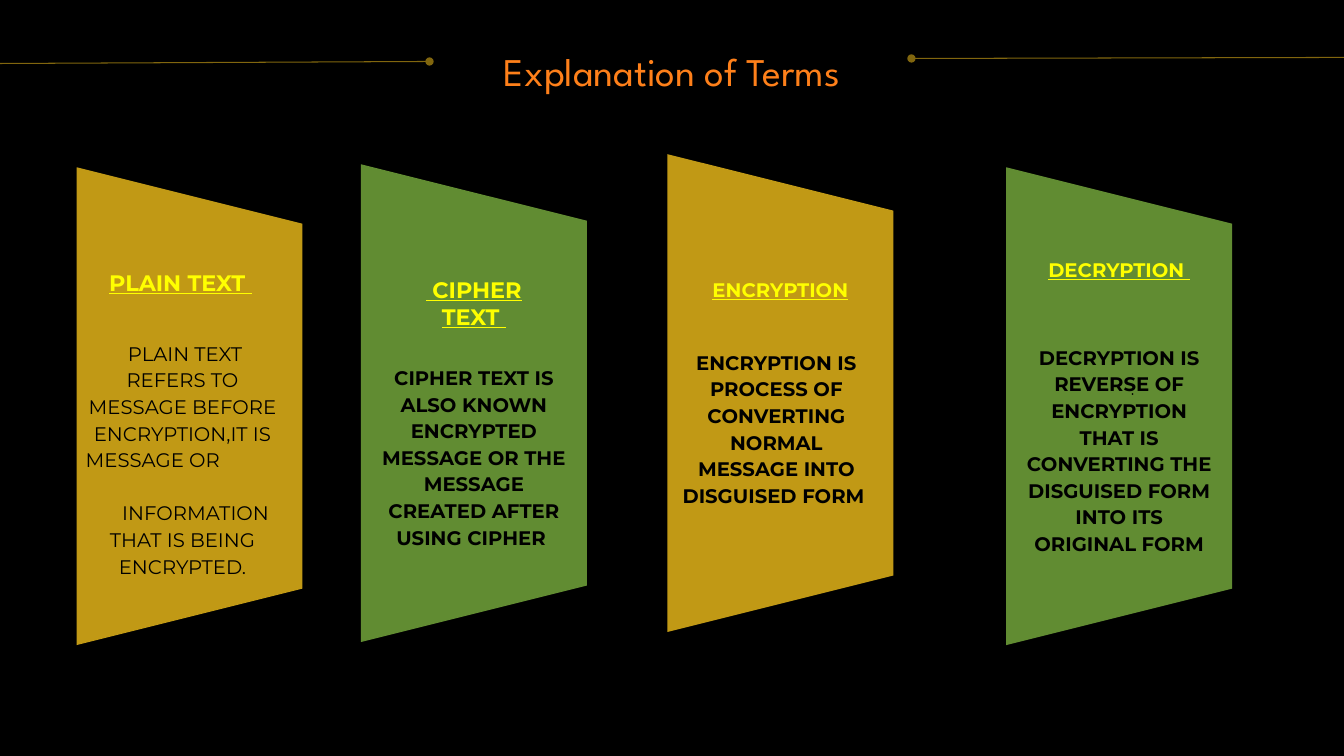
from pptx import Presentation, util as u
from pptx.dml.color import RGBColor
from pptx.enum import shapes, text
from pptx.oxml.ns import qn
from lxml import etree

W, H = 13.33, 7.5
PANEL_W, PANEL_H = 2.24, 4.74
HEAD_W, BODY_W = 1.5, 1.92
COLORS = {"black": "000000", "gold": "C19915", "green": "618C32",
          "line": "81660E", "title": "FE801A", "yellow": "FFFF00"}
CENTER, LEFT = text.PP_ALIGN.CENTER, text.PP_ALIGN.LEFT


def rgb(name):
    return RGBColor.from_string(COLORS[name])


def inches(*values):
    return [u.Inches(v) for v in values]


def write(sp, lines, size, color, font="Montserrat", bold=False,
          underline=False, spacing=None, anchor=text.MSO_ANCHOR.TOP):
    """Fill a shape; a line is a string or (string, align, indent, space before)."""
    tf = sp.text_frame
    tf.word_wrap = True
    tf.auto_size = text.MSO_AUTO_SIZE.NONE
    tf.vertical_anchor = anchor
    tf.margin_left = tf.margin_right = tf.margin_top = tf.margin_bottom = 0
    for i, line in enumerate(lines):
        words, align, indent, before = (
            (line, CENTER, 0, 0) if isinstance(line, str) else line)
        p = tf.paragraphs[0] if i == 0 else tf.add_paragraph()
        p.alignment = align
        p.line_spacing = spacing
        if indent:
            p._p.get_or_add_pPr().set("marL", str(u.Inches(indent)))
        if before:
            p.space_before = u.Pt(before)
        r = p.add_run()
        r.text = words
        r.font.name, r.font.size = font, u.Pt(size)
        r.font.bold, r.font.underline = bold, underline
        r.font.color.rgb = rgb(color)


def add_text(s, left, top, width, height, lines, **fmt):
    write(s.shapes.add_textbox(*inches(left, top, width, height)), lines, **fmt)


def add_panel(s, left, top, color):
    # The trapezoid is turned a quarter, so its box is laid out lengthwise
    shift = (PANEL_H - PANEL_W) / 2
    sp = s.shapes.add_shape(
        shapes.MSO_SHAPE.TRAPEZOID,
        *inches(left - shift, top + shift, PANEL_H, PANEL_W))
    sp.rotation = 90
    sp.shadow.inherit = False
    sp.fill.solid()
    sp.fill.fore_color.rgb = rgb(color)
    sp.line.fill.background()


def add_rule(s, x1, y1, x2, y2, dot):
    cx = s.shapes.add_connector(shapes.MSO_CONNECTOR.STRAIGHT,
                                *inches(x1, y1, x2, y2))
    cx.line.color.rgb = rgb("line")
    cx.line.width = u.Pt(0.75)
    ln = cx.line._get_or_add_ln()
    etree.SubElement(ln, qn("a:" + dot), type="oval")
    etree.SubElement(cx._element.spPr, qn("a:effectLst"))


# Panel left, top, colour; heading left, top, size, lines; body left, top, bold, lines
TERMS = [
    ((0.76, 1.66, "gold"),
     (1.04, 2.67, 16, ["PLAIN TEXT "]),
     (0.85, 3.36, False,
      [" PLAIN TEXT REFERS TO MESSAGE BEFORE ENCRYPTION,IT IS",
       ("MESSAGE OR", LEFT, 0, 0),
       ("INFORMATION", CENTER, 0.26, 19),
       "THAT IS BEING ENCRYPTED."])),
    ((3.58, 1.63, "green"),
     (3.95, 2.74, 16, [" CIPHER", "TEXT "]),
     (3.74, 3.6, True,
      ["CIPHER TEXT IS ALSO KNOWN ENCRYPTED MESSAGE OR THE MESSAGE "
       "CREATED AFTER USING CIPHER "])),
    ((6.62, 1.53, "gold"),
     (6.99, 2.76, 14, ["ENCRYPTION"]),
     (6.74, 3.45, True,
      ["ENCRYPTION IS PROCESS OF CONVERTING NORMAL MESSAGE INTO "
       "DISGUISED FORM "])),
    ((9.98, 1.66, "green"),
     (10.35, 2.56, 14, ["DECRYPTION "]),
     (10.14, 3.4, True,
      ["DECRYPTION IS REVERSE OF ENCRYPTION THAT IS CONVERTING THE "
       "DISGUISED FORM INTO ITS ORIGINAL FORM"])),
]


def main():
    prs = Presentation()
    prs.slide_width, prs.slide_height = inches(W, H)
    s = prs.slides.add_slide(prs.slide_layouts[5])
    s.background.fill.solid()
    s.background.fill.fore_color.rgb = rgb("black")

    # Title between two dotted rules
    add_rule(s, 9.04, 0.58, W, 0.57, "headEnd")
    add_rule(s, 0, 0.63, 4.26, 0.61, "tailEnd")
    title = s.shapes.title
    title.left, title.top, title.width, title.height = inches(0.25, 0.43, 12.83, 0.6)
    write(title, ["Explanation of Terms"], size=28, color="title",
          font="League Spartan", spacing=0.9, anchor=text.MSO_ANCHOR.MIDDLE)

    # One panel for each term
    for panel, (hx, hy, size, heading), (bx, by, bold, body) in TERMS:
        add_panel(s, *panel)
        add_text(s, hx, hy, HEAD_W, 0.54, heading, size=size, color="yellow",
                 bold=True, underline=True)
        add_text(s, bx, by, BODY_W, 2.4, body, size=14, color="black",
                 bold=bold, spacing=u.Pt(19))

    # Lone full stop on the last panel
    add_text(s, 10.3, 3.7, BODY_W, 0.24, [". "], size=14, color="black",
             font="Quicksand", spacing=u.Pt(19))
    prs.save("out.pptx")


if __name__ == "__main__":
    main()
